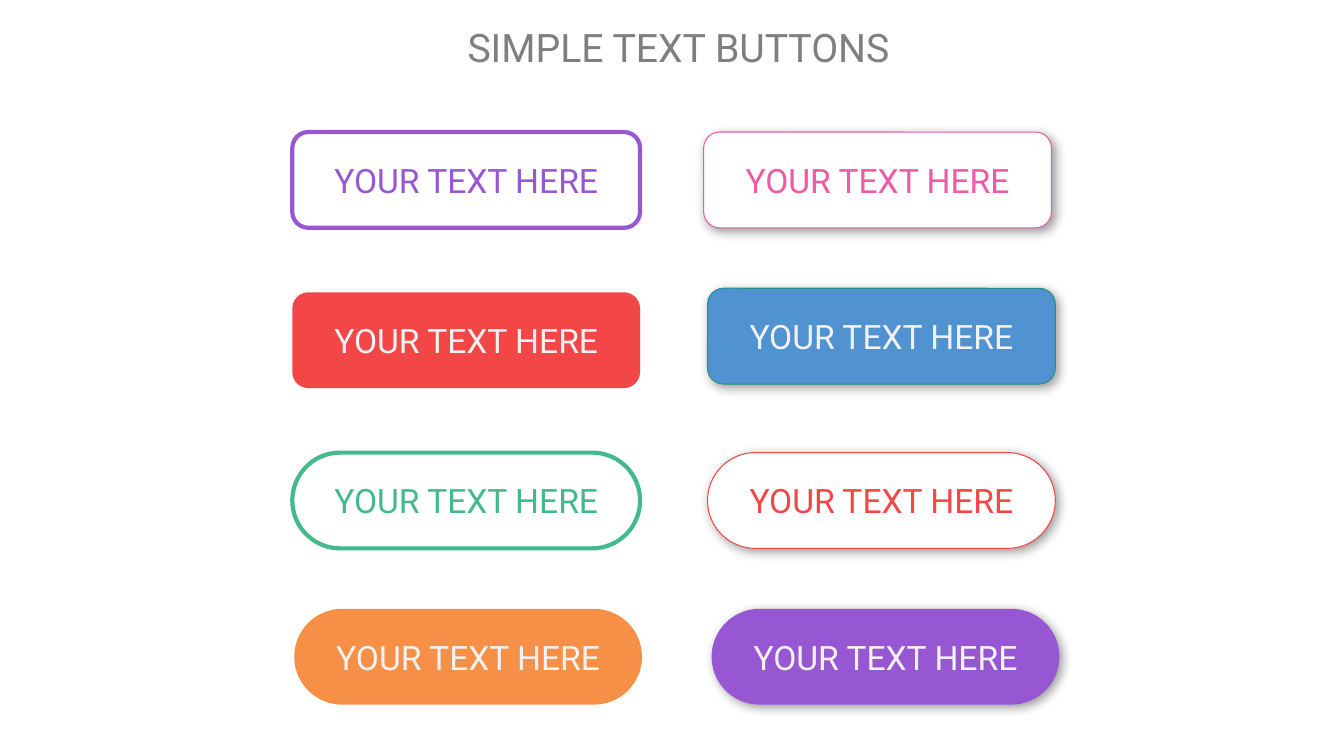
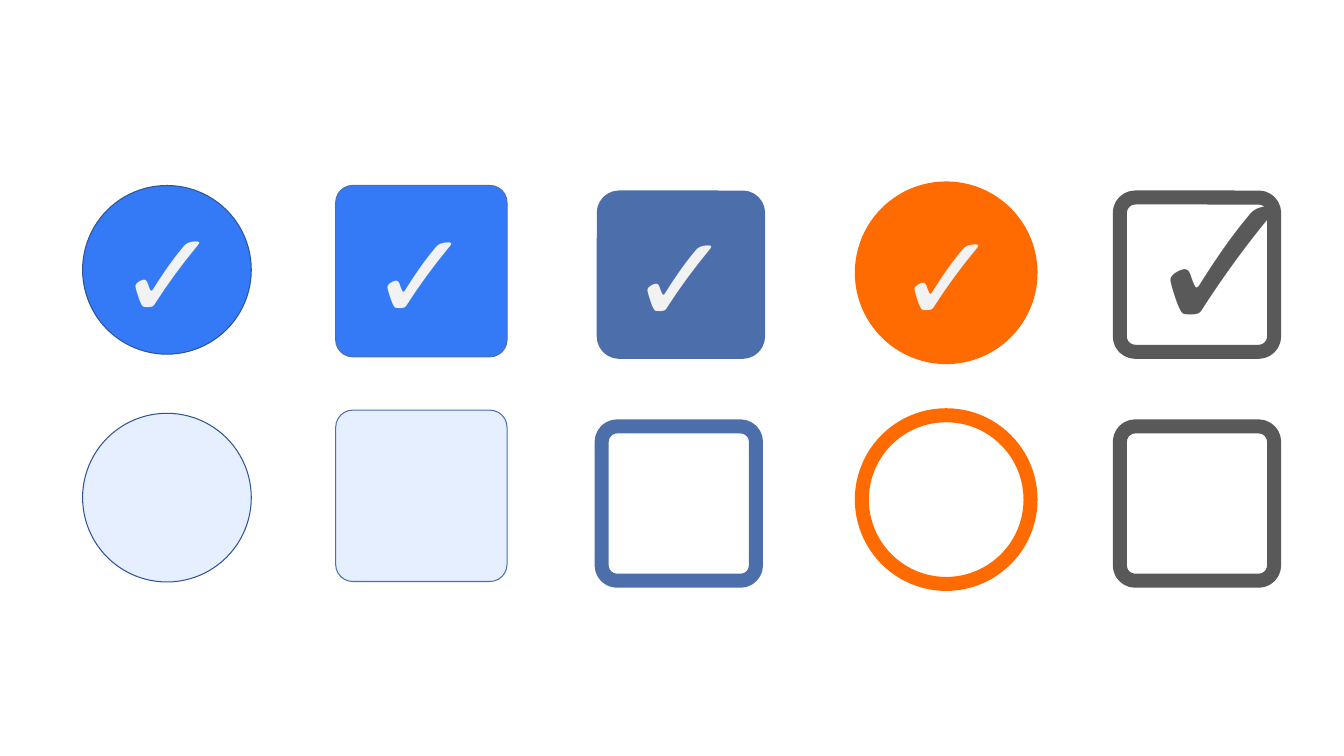
"""Build two slides of text buttons and check boxes."""
import dataclasses
import typing

import lxml.etree
import pptx
import pptx.dml.color
import pptx.enum.shapes
import pptx.enum.text
import pptx.oxml.ns
import pptx.util

Pt = pptx.util.Pt
SHAPE = pptx.enum.shapes.MSO_SHAPE
ROUND, OVAL = SHAPE.ROUNDED_RECTANGLE, SHAPE.OVAL

WHITE, OFF_WHITE = "FFFFFF", "F2F2F2"
GREY, DARK_GREY = "7F7F7F", "595959"
PURPLE, PINK, RED, GREEN, TEAL = "9757D3", "EE5AA6", "F34747", "42BA8C", "218F8C"
AMBER, ORANGE = "F69046", "FF6A01"
SKY, BLUE, NAVY, SLATE, PALE = "5192D0", "347AF7", "2F5496", "4C6FAC", "E6EFFF"

LABEL, TICK = "YOUR TEXT HERE", "✓"
BUTTON_W, BUTTON_H = 248.4, 68.4
SQUARE, PILL = 0.167, 0.5
BOX_CORNER = 0.1


@dataclasses.dataclass(frozen=True)
class Text:
    text: str
    size: float
    colour: str
    font: str = "Roboto"
    bold: bool = False


@dataclasses.dataclass(frozen=True)
class Look:
    fill: typing.Optional[str] = None
    line: typing.Optional[str] = None
    weight: float = 0.75
    shadow: bool = False


@dataclasses.dataclass(frozen=True)
class Button:
    x: float
    y: float
    corner: float
    look: Look
    colour: str = OFF_WHITE


@dataclasses.dataclass(frozen=True)
class CheckBox:
    kind: int
    size: float
    x: float
    y: float
    empty_x: float
    empty_y: float
    checked: Look
    empty: Look
    ticked: bool = True


def rgb(colour: str) -> pptx.dml.color.RGBColor:
    return pptx.dml.color.RGBColor.from_string(colour)


def set_fill(fill, colour: typing.Optional[str]) -> None:
    if colour is None:
        fill.background()
    else:
        fill.solid()
        fill.fore_color.rgb = rgb(colour)


def write(sp, text: Text, **frame) -> None:
    tf = sp.text_frame
    for name, value in {"word_wrap": True, **frame}.items():
        setattr(tf, name, value)
    p = tf.paragraphs[0]
    p.alignment = pptx.enum.text.PP_ALIGN.CENTER
    r = p.add_run()
    r.text = text.text
    style = {"name": text.font, "size": Pt(text.size), "bold": text.bold}
    for name, value in style.items():
        setattr(r.font, name, value)
    r.font.color.rgb = rgb(text.colour)


def add_shadow(sp) -> None:
    qn = pptx.oxml.ns.qn
    effects = sp._element.spPr.find(qn("a:effectLst"))
    shadow = lxml.etree.SubElement(
        effects, qn("a:outerShdw"), blurRad=str(Pt(8)), dist=str(Pt(3)),
        dir=str(45 * 60000), algn="tl", rotWithShape="0")
    colour = lxml.etree.SubElement(shadow, qn("a:srgbClr"), val="000000")
    lxml.etree.SubElement(colour, qn("a:alpha"), val="40000")


def add_shape(s, kind: int, x: float, y: float, w: float, h: float, look: Look,
              corner: float, text: typing.Optional[Text] = None) -> None:
    sp = s.shapes.add_shape(kind, Pt(x), Pt(y), Pt(w), Pt(h))
    if kind == ROUND:
        sp.adjustments[0] = corner
    sp.shadow.inherit = False
    set_fill(sp.fill, look.fill)
    set_fill(sp.line.fill, look.line)
    if look.line:
        sp.line.width = Pt(look.weight)
    if look.shadow:
        add_shadow(sp)
    if text:
        write(sp, text, vertical_anchor=pptx.enum.text.MSO_ANCHOR.MIDDLE)


def add_text(s, x: float, y: float, w: float, h: float, text: Text, **frame) -> None:
    sp = s.shapes.add_textbox(Pt(x), Pt(y), Pt(w), Pt(h))
    write(sp, text, **frame)


BUTTONS = (
    Button(208.8, 94.3, SQUARE, Look(line=PURPLE, weight=3), PURPLE),
    Button(208.8, 208.8, SQUARE, Look(RED)),
    Button(208.8, 323.3, PILL, Look(line=GREEN, weight=3), GREEN),
    Button(210.2, 434.9, PILL, Look(AMBER)),
    Button(502.6, 94.3, SQUARE, Look(WHITE, PINK, shadow=True), PINK),
    Button(505.4, 205.9, SQUARE, Look(SKY, TEAL, shadow=True)),
    Button(505.4, 323.3, PILL, Look(WHITE, RED, shadow=True), RED),
    Button(508.3, 434.9, PILL, Look(PURPLE, shadow=True)),
)

CHECK_BOXES = (
    CheckBox(OVAL, 120.5, 59, 132.5, 59, 295.2, Look(BLUE, NAVY), Look(PALE, NAVY)),
    CheckBox(ROUND, 122.4, 239.8, 132.5, 239.8, 293,
             Look(BLUE, SLATE), Look(PALE, SLATE)),
    CheckBox(ROUND, 110.2, 431.3, 141.1, 429.8, 304.6,
             Look(SLATE, SLATE, 10), Look(None, SLATE, 10)),
    CheckBox(OVAL, 120.5, 615.6, 134.6, 615.6, 296.6,
             Look(ORANGE, ORANGE, 10), Look(None, ORANGE, 10)),
    CheckBox(ROUND, 110.2, 799.9, 141.1, 799.9, 304.6,
             Look(None, DARK_GREY, 10), Look(None, DARK_GREY, 10), ticked=False),
)


def draw_buttons(s) -> None:
    add_text(s, 56.2, 13, 856.8, 41, Text("SIMPLE TEXT BUTTONS", 28, GREY))
    for b in BUTTONS:
        add_shape(s, ROUND, b.x, b.y, BUTTON_W, BUTTON_H, b.look, b.corner,
                  Text(LABEL, 24, b.colour))


def draw_check_boxes(s) -> None:
    tick = Text(TICK, 88, OFF_WHITE, "Arial", True)
    for c in CHECK_BOXES:
        add_shape(s, c.kind, c.x, c.y, c.size, c.size, c.checked, BOX_CORNER,
                  tick if c.ticked else None)
        add_shape(s, c.kind, c.empty_x, c.empty_y, c.size, c.size, c.empty, BOX_CORNER)
    add_text(s, 807.8, 93.6, 124.6, 179.3,
             Text(TICK, 145, DARK_GREY, "Arial", True), margin_top=0)


def main() -> None:
    prs = pptx.Presentation()
    prs.slide_width, prs.slide_height = Pt(960), Pt(540)
    for draw in (draw_buttons, draw_check_boxes):
        draw(prs.slides.add_slide(prs.slide_layouts[6]))
    prs.save("out.pptx")


if __name__ == "__main__":
    main()
